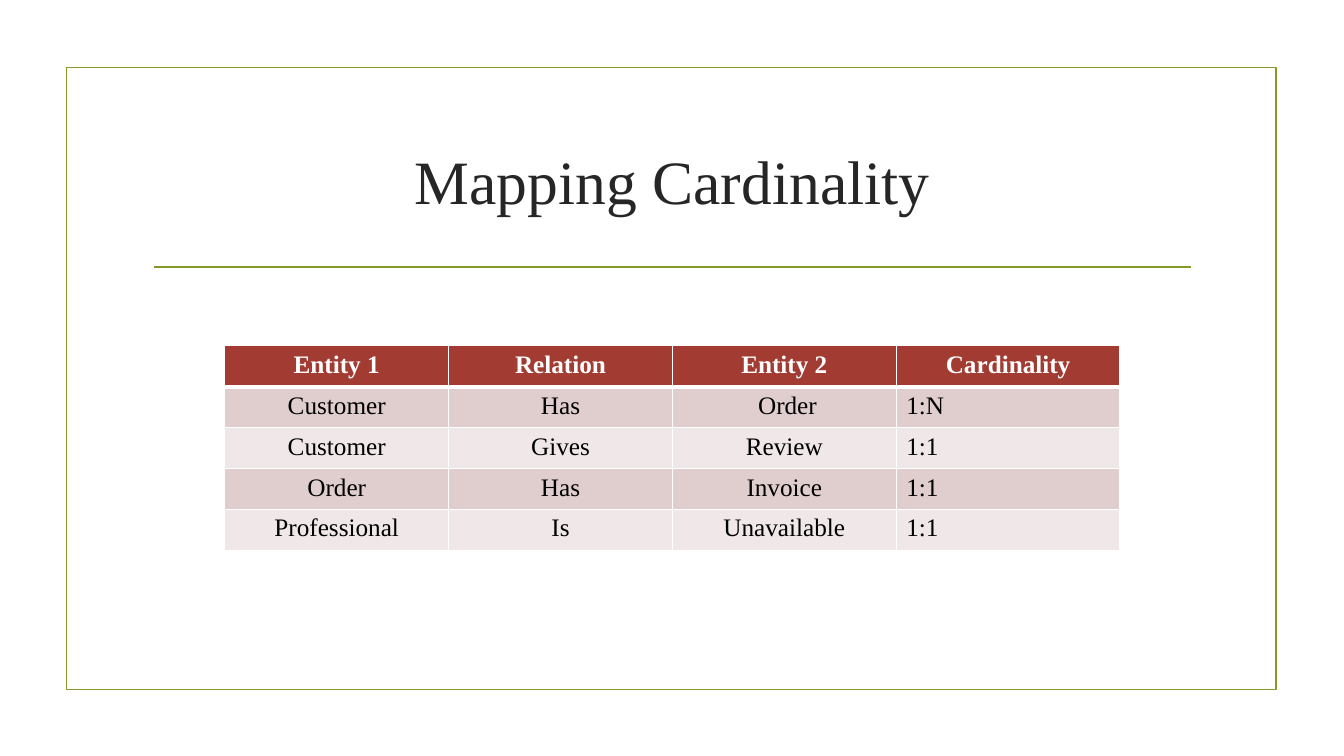
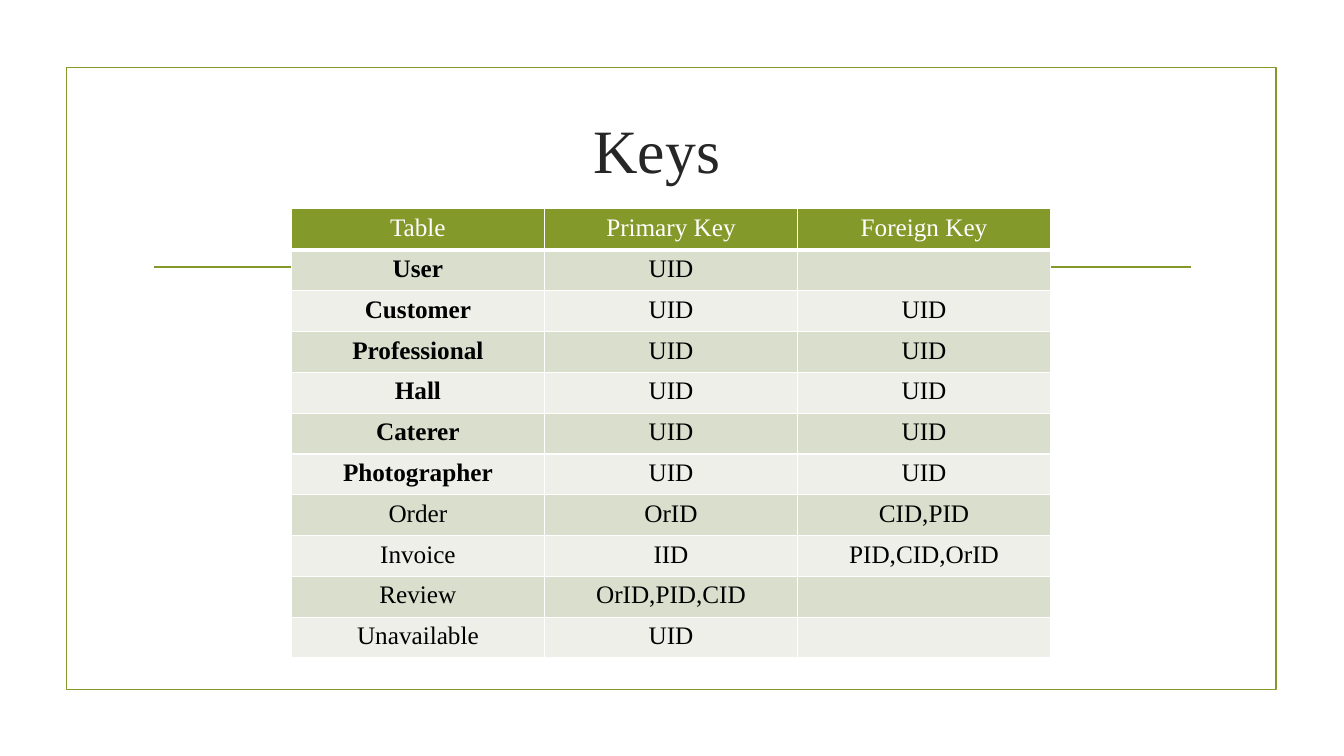
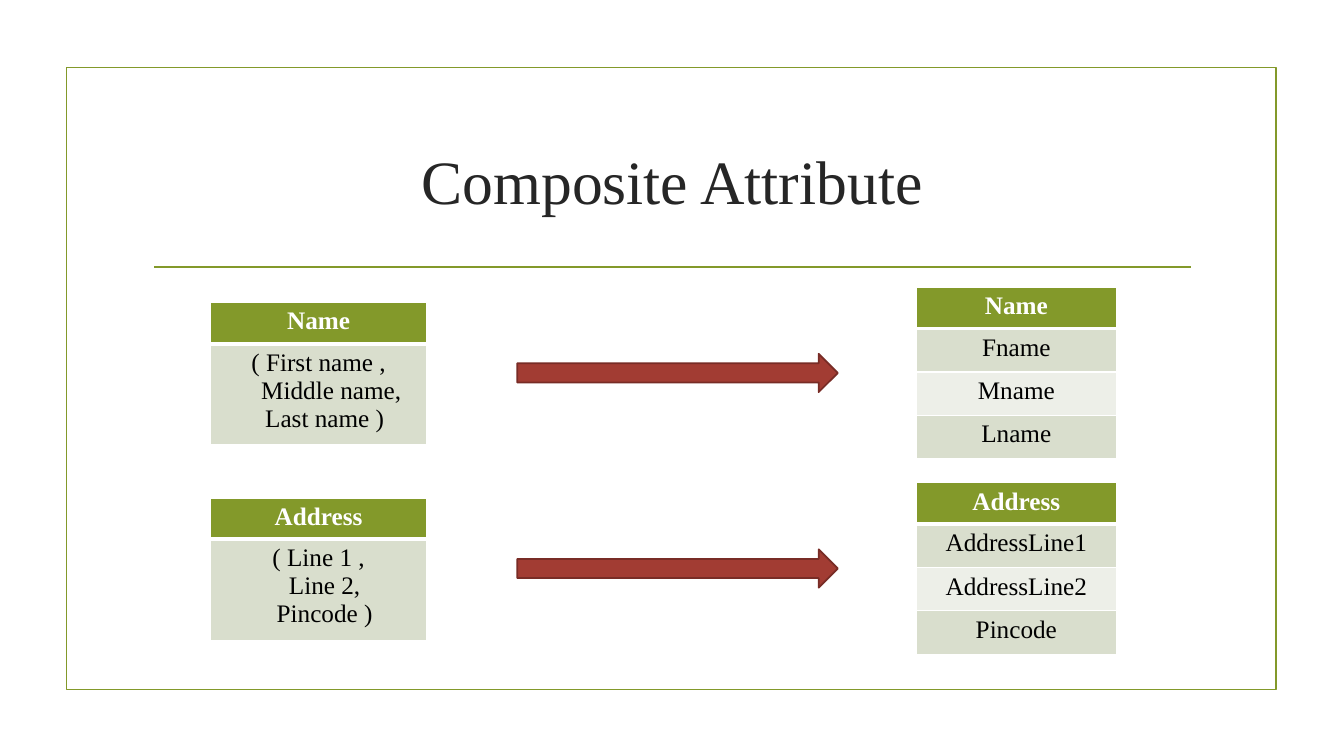
from dataclasses import dataclass

from lxml.etree import SubElement
from pptx import Presentation
from pptx.dml.color import RGBColor
from pptx.enum.shapes import MSO_CONNECTOR as CONN, MSO_SHAPE as SHAPE
from pptx.enum.text import MSO_ANCHOR as ANCHOR, PP_ALIGN as ALIGN
from pptx.oxml.ns import qn
from pptx.util import Inches, Pt


@dataclass(frozen=True)
class Theme:
    font: str = "Times New Roman"
    title_size: int = 44
    cell_size: int = 18
    line_width: float = 1.25
    border: int = 1
    header_border: int = 3
    ink: str = "262626"
    black: str = "000000"
    white: str = "FFFFFF"
    olive: str = "83992A"
    olive_bands: tuple = ("D9DECD", "EDEFE8")
    red: str = "A23C33"
    red_edge: str = "782C26"
    red_bands: tuple = ("E0CECE", "F0E8E8")


T = Theme()
OLIVE = (T.olive, *T.olive_bands)
RED = (T.red, *T.red_bands)

FRAME = (0.66, 0.67, 12, 6.17)
RULE = (1.53, 2.65, 11.81, 2.65)
TITLE_BOX = (1.42, 1.07, 10.5, 1.43)
KEYS_TITLE_BOX = (1.11, 0.73, 10.81, 1.5)
HEADER_H = 0.41

CARDINALITY = [
    ("Entity 1", "Relation", "Entity 2", "Cardinality"),
    ("Customer", "Has", " Order", "1:N"),
    ("Customer", "Gives", "Review", "1:1"),
    ("Order", "Has", "Invoice", "1:1"),
    ("Professional", "Is", "Unavailable", "1:1"),
]
KEYS = [
    ("Table", "Primary Key", "Foreign Key"),
    ("User", "UID", ""),
    ("Customer", "UID", "UID"),
    ("Professional", "UID", "UID"),
    ("Hall", "UID", "UID"),
    ("Caterer", "UID", "UID"),
    ("Photographer", "UID", "UID"),
    ("Order", "OrID", "CID,PID"),
    ("Invoice", "IID", "PID,CID,OrID"),
    ("Review", "OrID,PID,CID", ""),
    ("Unavailable", "UID", ""),
]
USER_ROWS = range(1, 7)
COMPOSITES = [
    ("Name",
     [("( First name ,", 0), ("Middle name,", 0.25), ("Last name )", 0.12)],
     ["Fname", "Mname", "Lname"]),
    ("Address",
     [("( Line 1 ,", 0), ("Line 2,", 0.12), ("Pincode )", 0.12)],
     ["AddressLine1", "AddressLine2", "Pincode"]),
]
COMPOSITE_TOP, COMPOSITE_STEP = 2.85, 1.94


def rgb(value):
    return RGBColor.from_string(value)


def inches(box):
    return [Inches(v) for v in box]


def set_line(line, color):
    line.color.rgb = rgb(color)
    line.width = Pt(T.line_width)


def write(p, text, size, color, bold=False, align=ALIGN.CENTER, indent=0):
    p.alignment = align
    if indent:
        p._p.get_or_add_pPr().set("marL", str(Inches(indent)))
    r = p.add_run()
    r.text = text
    for name, value in dict(name=T.font, size=Pt(size), bold=bold).items():
        setattr(r.font, name, value)
    r.font.color.rgb = rgb(color)


def add_base(prs, title, box=TITLE_BOX):
    s = prs.slides.add_slide(prs.slide_layouts[6])
    frame = s.shapes.add_shape(SHAPE.RECTANGLE, *inches(FRAME))
    frame.shadow.inherit = False
    frame.fill.background()
    set_line(frame.line, T.olive)
    rule = s.shapes.add_connector(CONN.STRAIGHT, *inches(RULE))
    set_line(rule.line, T.olive)
    SubElement(rule._element.spPr, qn("a:effectLst"))
    tf = s.shapes.add_textbox(*inches(box)).text_frame
    tf.word_wrap = True
    tf.vertical_anchor = ANCHOR.MIDDLE
    write(tf.paragraphs[0], title, T.title_size, T.ink)
    return s


def set_borders(cell, bottom):
    tc_pr = cell._tc.get_or_add_tcPr()
    for side, width in dict(L=T.border, R=T.border, T=T.border, B=bottom).items():
        ln = SubElement(tc_pr, qn(f"a:ln{side}"), w=str(Pt(width)))
        fill = SubElement(ln, qn("a:solidFill"))
        SubElement(fill, qn("a:srgbClr"), val=T.white)


def add_grid(s, rows, box, colors, bold_header=True, bold_rows=(), left_col=None):
    header, *bands = colors
    table = s.shapes.add_table(len(rows), len(rows[0]), *inches(box)).table
    body_h = (box[3] - HEADER_H) / (len(rows) - 1)
    for i, row in enumerate(rows):
        is_header = i == 0
        table.rows[i].height = Inches(HEADER_H if is_header else body_h)
        for j, content in enumerate(row):
            cell = table.cell(i, j)
            set_borders(cell, T.header_border if is_header else T.border)
            cell.fill.solid()
            cell.fill.fore_color.rgb = rgb(header if is_header else bands[(i - 1) % 2])
            color = T.white if is_header else T.black
            bold = bold_header if is_header else j == 0 and i in bold_rows
            align = ALIGN.LEFT if j == left_col and not is_header else ALIGN.CENTER
            lines = [(content, 0)] if isinstance(content, str) else content
            tf = cell.text_frame
            for n, (text, indent) in enumerate(lines):
                p = tf.add_paragraph() if n else tf.paragraphs[0]
                write(p, text, T.cell_size, color, bold, align, indent)


def add_arrow(s, box):
    sp = s.shapes.add_shape(SHAPE.RIGHT_ARROW, *inches(box))
    sp.shadow.inherit = False
    sp.fill.solid()
    sp.fill.fore_color.rgb = rgb(T.red)
    set_line(sp.line, T.red_edge)


def main():
    prs = Presentation()
    prs.slide_width, prs.slide_height = Inches(13.33), Inches(7.5)

    s = add_base(prs, "Mapping Cardinality")
    add_grid(s, CARDINALITY, (2.23, 3.43, 8.88, 2.03), RED, left_col=3)

    s = add_base(prs, "Keys", KEYS_TITLE_BOX)
    add_grid(s, KEYS, (2.89, 2.07, 7.53, 4.46), OLIVE,
             bold_header=False, bold_rows=USER_ROWS)

    s = add_base(prs, "Composite Attribute")
    for i, (name, whole, parts) in enumerate(COMPOSITES):
        top = COMPOSITE_TOP + i * COMPOSITE_STEP
        add_grid(s, [(name,), (whole,)], (2.09, top + 0.15, 2.14, 1.33), OLIVE)
        add_grid(s, [(t,) for t in (name, *parts)], (9.09, top, 1.98, 1.7), OLIVE)
        add_arrow(s, (5.13, top + 0.66, 3.18, 0.38))

    prs.save("out.pptx")


if __name__ == "__main__":
    main()
